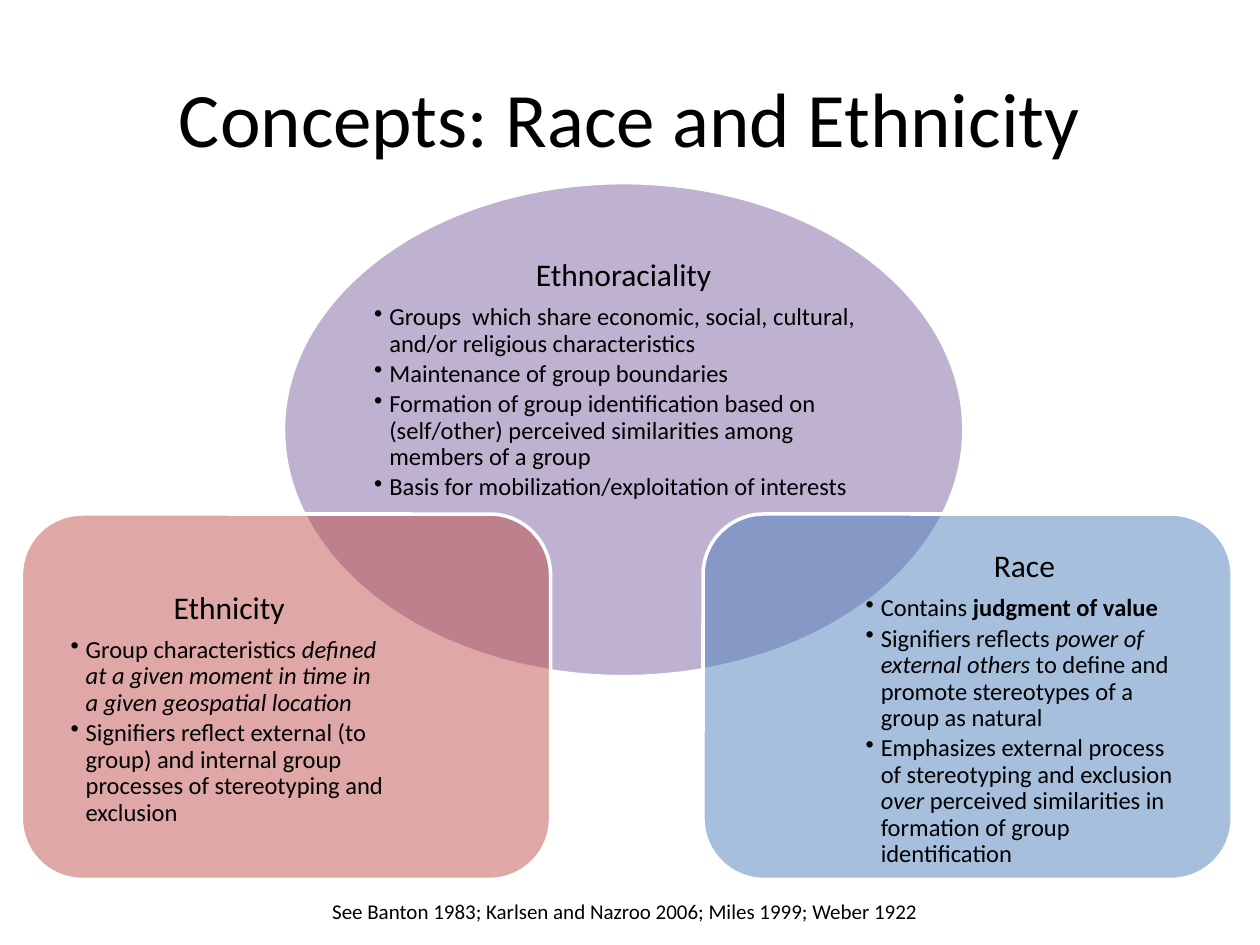
import pptx
import pptx.util
import pptx.dml.color
import pptx.enum.shapes
import pptx.enum.text
import pptx.oxml.ns
from lxml import etree

Inches, Pt = pptx.util.Inches, pptx.util.Pt
SHAPE = pptx.enum.shapes.MSO_SHAPE
CENTER = pptx.enum.text.PP_ALIGN.CENTER
MIDDLE = pptx.enum.text.MSO_ANCHOR.MIDDLE
qn = pptx.oxml.ns.qn

WIDTH, HEIGHT = 10, 7.5
BULLET_INDENT = Inches(0.12)

presentation = pptx.Presentation()
presentation.slide_width = Inches(WIDTH)
presentation.slide_height = Inches(HEIGHT)
slide = presentation.slides.add_slide(presentation.slide_layouts[6])


def color(value):
    return pptx.dml.color.RGBColor.from_string(value)


def add_text(box, paragraphs, margin=None):
    """Add a text box; each paragraph is (size, runs), each run (text, style)."""
    frame = slide.shapes.add_textbox(*map(Inches, box)).text_frame
    frame.word_wrap = True
    frame.vertical_anchor = MIDDLE
    if margin is not None:
        frame.margin_left = frame.margin_right = margin
        frame.margin_top = frame.margin_bottom = margin
    for index, (size, runs) in enumerate(paragraphs):
        paragraph = frame.add_paragraph() if index else frame.paragraphs[0]
        paragraph.font.name = "Calibri"
        paragraph.font.size = Pt(size)
        paragraph.font.color.rgb = color("000000")
        for text, style in runs:
            run = paragraph.add_run()
            run.text = text
            if style:
                setattr(run.font, style, True)
    return frame


# Title
title = add_text((0.05 * WIDTH, 0.04 * HEIGHT, 0.9 * WIDTH, HEIGHT / 6),
                 [(44, [("Concepts: Race and Ethnicity", None)])])
title.paragraphs[0].alignment = CENTER

# Overlapping concepts: outline, fill, shape box, text box, heading, bullets
card_top, card_width, card_height = 4.08, 4.2, 2.9
text_top, text_width, text_height = 4.83, 2.52, 1.6
concepts = [
    (SHAPE.OVAL, "8064A2", (2.25, 1.45, 5.4, 3.92), (2.97, 2.14, 3.96, 1.76),
     "Ethnoraciality", [
         [("Groups  which share economic, social, cultural, and/or religious "
           "characteristics", None)],
         [("Maintenance of group boundaries", None)],
         [("Formation of group identification based on (self/other) perceived "
           "similarities among members of a group", None)],
         [("Basis for mobilization/exploitation of interests", None)],
     ]),
    (SHAPE.ROUNDED_RECTANGLE, "4F81BD",
     (5.58, card_top, card_width, card_height),
     (6.87, text_top, text_width, text_height),
     "Race", [
         [("Contains ", None), ("judgment of value", "bold")],
         [("Signifiers reflects ", None), ("power of external others", "italic"),
          (" to define and promote stereotypes of a group as natural", None)],
         [("Emphasizes external process of stereotyping and exclusion ", None),
          ("over", "italic"),
          (" perceived similarities in formation of group identification", None)],
     ]),
    (SHAPE.ROUNDED_RECTANGLE, "C0504D",
     (0.17, card_top, card_width, card_height),
     (0.56, text_top, text_width, text_height),
     "Ethnicity", [
         [("Group characteristics ", None),
          ("defined at a given moment in time in a given geospatial location",
           "italic")],
         [("Signifiers reflect external (to group) and internal group processes "
           "of stereotyping and exclusion", None)],
     ]),
]

for outline, fill, shape_box, text_box, heading, bullets in concepts:
    # Half-transparent shape with a white edge
    shape = slide.shapes.add_shape(outline, *map(Inches, shape_box))
    shape.shadow.inherit = False
    shape.fill.solid()
    shape.fill.fore_color.rgb = color(fill)
    fill_color = shape.fill._xPr.find(qn("a:solidFill")).find(qn("a:srgbClr"))
    etree.SubElement(fill_color, qn("a:alpha"), val="50000")
    shape.line.color.rgb = color("FFFFFF")
    shape.line.width = Pt(2)

    # Centred heading followed by bullets
    paragraphs = [(18, [(heading, None)])] + [(14, runs) for runs in bullets]
    frame = add_text(text_box, paragraphs, margin=0)
    for index, paragraph in enumerate(frame.paragraphs):
        paragraph.line_spacing = 0.9
        if index == 0:
            paragraph.alignment = CENTER
            paragraph.space_after = Pt(6.3)
            continue
        paragraph.level = 1
        paragraph.space_after = Pt(2.1)
        properties = paragraph._p.get_or_add_pPr()
        properties.set("marL", str(BULLET_INDENT))
        properties.set("indent", str(-BULLET_INDENT))
        bullet = etree.Element(qn("a:buChar"), char="•")
        properties.find(qn("a:defRPr")).addprevious(bullet)

# Sources
sources = add_text((2.46, 7.08, WIDTH / 2, 0.04 * HEIGHT), [
    (12, [("See Banton 1983; Karlsen and Nazroo 2006; Miles 1999; Weber 1922",
           None)])])
sources.paragraphs[0].alignment = CENTER

presentation.save("out.pptx")
